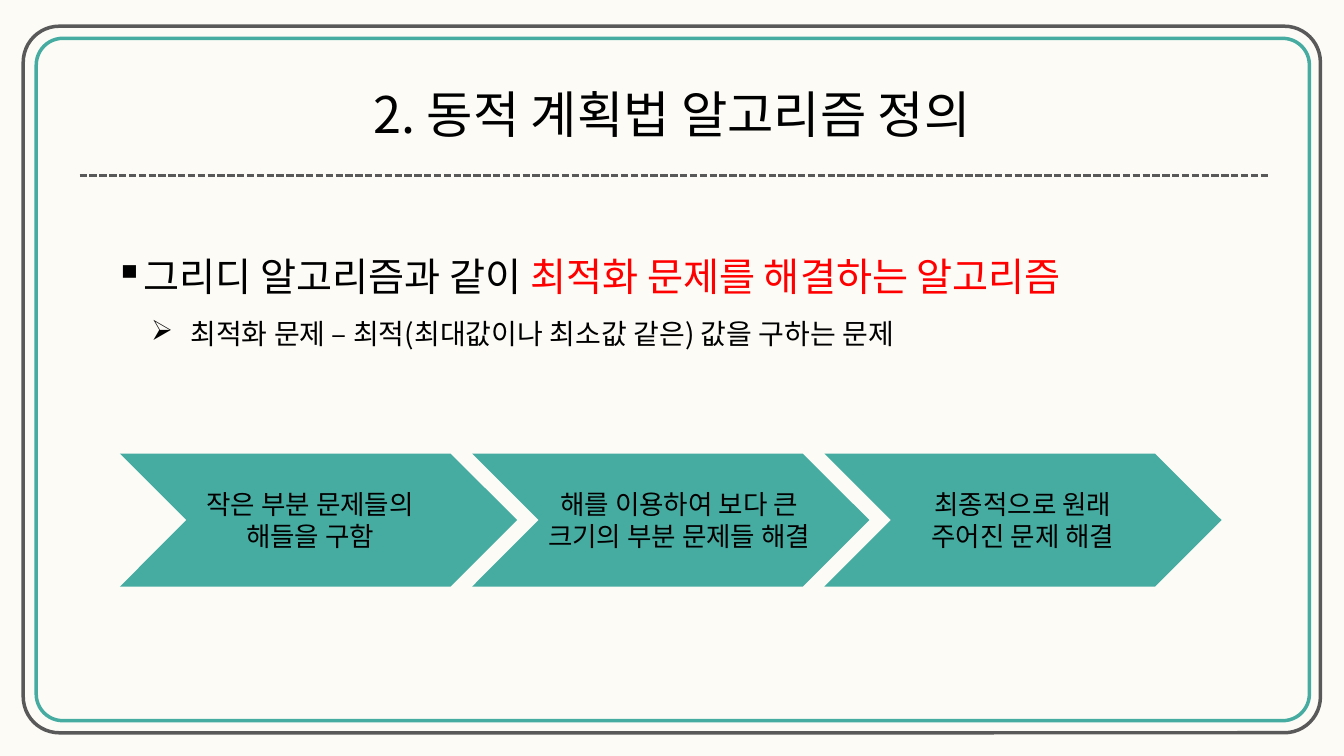
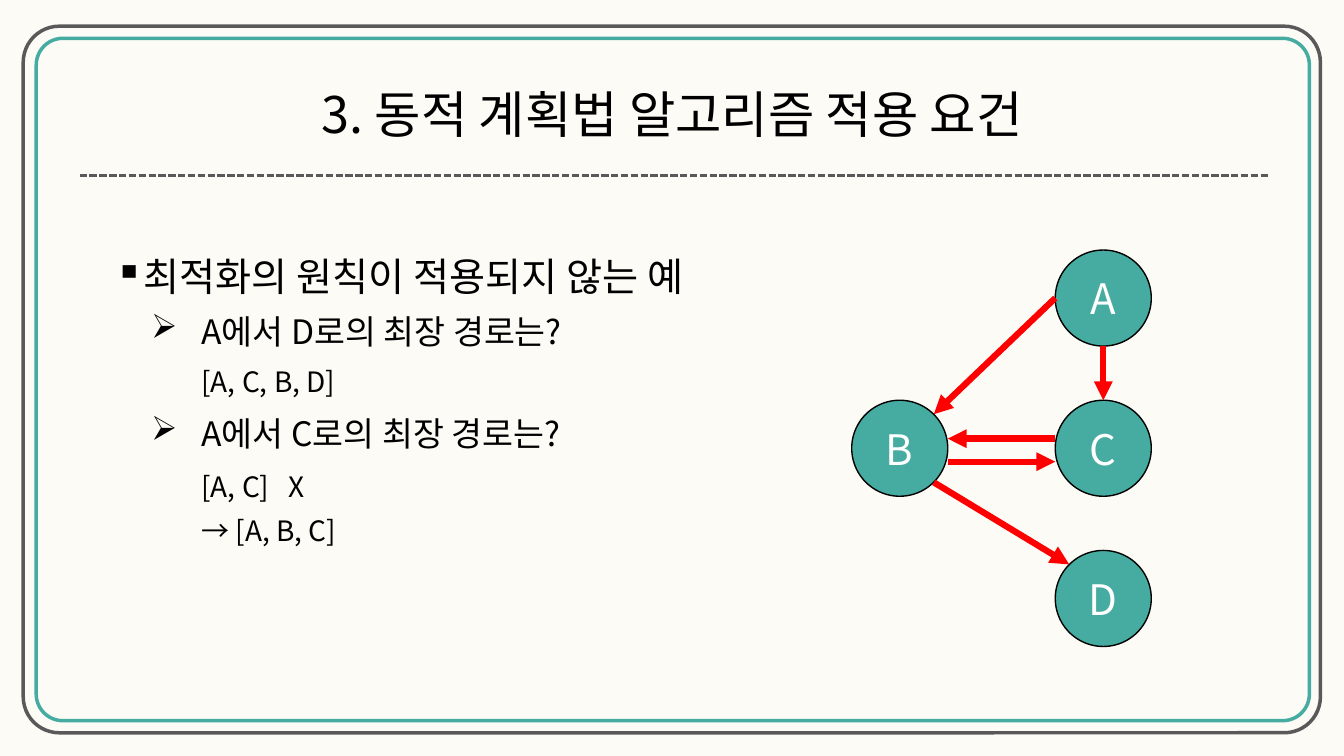
from pptx import Presentation
from pptx.dml.color import RGBColor
from pptx.enum.dml import MSO_LINE as Dash
from pptx.enum.shapes import MSO_CONNECTOR as Conn, MSO_SHAPE as Kind
from pptx.enum.text import MSO_ANCHOR as Anchor, PP_ALIGN as Align
from pptx.oxml.ns import qn
from pptx.util import Pt
from lxml.etree import SubElement

TEAL = RGBColor(0x46, 0xAC, 0xA1)
GRAY = RGBColor(0x59, 0x59, 0x59)
CREAM = RGBColor(0xFC, 0xFB, 0xF6)
BLACK = RGBColor(0, 0, 0)
WHITE = RGBColor(255, 255, 255)
RED = RGBColor(255, 0, 0)
FONT = "Noto Sans CJK KR"

DIAM = 68.6
NODES = {"A": (753.8, 178.6), "B": (608.4, 285.9),
         "C": (753.8, 285.9), "D": (753.8, 393.2)}
# Each end is a node and an offset from its centre, in radii.
LINKS = [("A", (0, 1), "C", (0, -1)),
         ("C", (-1, -0.2), "B", (1, -0.2)),
         ("B", (0.71, 0.71), "D", (-0.71, -0.71)),
         ("A", (-1, 0), "B", (0.71, -0.71)),
         ("B", (1, 0.28), "C", (-1, 0.28))]
STEPS = [("작은 부분 문제들의", "해들을 구함", -6),
         ("해를 이용하여 보다 큰", "크기의 부분 문제들 해결", 6),
         ("최종적으로 원래", "주어진 문제 해결", 0)]


def write(par, text, *, size, color=BLACK, space=None):
    """Add a run; space is extra letter spacing in points."""
    run = par.add_run()
    run.text = text
    font = run.font
    font.size, font.name = Pt(size), FONT
    font.color.rgb = color
    props = font._element
    SubElement(props, qn("a:ea")).set("typeface", FONT)
    if space:
        props.set("spc", str(space * 100))


def item(frame, *runs, size, left, hang=0, mark=None, before=5):
    """Add an indented paragraph; each run is a text with its own format."""
    first = not frame.paragraphs[0].runs
    par = frame.paragraphs[0] if first else frame.add_paragraph()
    par.line_spacing, par.space_before = 1.1, Pt(before)
    props = par._p.get_or_add_pPr()
    props.set("marL", str(Pt(left)))
    props.set("indent", str(Pt(-hang)))
    if mark:
        SubElement(props, qn("a:buChar")).set("char", mark)
    else:
        SubElement(props, qn("a:buNone"))
    for text, style in runs:
        write(par, text, size=size, **style)


def draw(slide, kind, box, *, fill=None, line=None, width=1):
    shape = slide.shapes.add_shape(kind, *map(Pt, box))
    shape.shadow.inherit = False
    if fill is None:
        shape.fill.background()
    else:
        shape.fill.solid()
        shape.fill.fore_color.rgb = fill
    if line is None:
        shape.line.fill.background()
    else:
        shape.line.color.rgb = line
        shape.line.width = Pt(width)
    return shape


def label(shape, *rows, size, color=BLACK, shift=0):
    """Centre rows of text in a shape, moved sideways by shift."""
    frame = shape.text_frame
    frame.word_wrap = False
    frame.vertical_anchor = Anchor.MIDDLE
    frame.margin_top = frame.margin_bottom = 0
    frame.margin_left = Pt(max(2 * shift, 0))
    frame.margin_right = Pt(max(-2 * shift, 0))
    for i, row in enumerate(rows):
        par = frame.add_paragraph() if i else frame.paragraphs[0]
        par.alignment = Align.CENTER
        write(par, row, size=size, color=color)


def rule(slide, start, end, *, color, width):
    line = slide.shapes.add_connector(Conn.STRAIGHT, *map(Pt, start + end))
    line.line.color.rgb = color
    line.line.width = Pt(width)
    SubElement(line._element.spPr, qn("a:effectLst"))
    return line


def arrow(slide, start, end):
    line = rule(slide, start, end, color=RED, width=4.5)
    SubElement(line.line._get_or_add_ln(), qn("a:tailEnd")).set("type", "triangle")


def spot(name, shift):
    """Return a point at an offset, in radii, from a node's centre."""
    return tuple(p + DIAM / 2 * (1 + s) for p, s in zip(NODES[name], shift))


def base(prs, text):
    """Add a slide with its frames, title and dashed rule."""
    slide = prs.slides.add_slide(prs.slide_layouts[5])
    for box, bend, color in [((25.9, 27.4, 909.4, 487.4), 0.039, TEAL),
                             ((16.6, 18.7, 926.6, 504.7), 0.051, GRAY)]:
        frame = draw(slide, Kind.ROUNDED_RECTANGLE, box, line=color, width=2.5)
        frame.adjustments[0] = bend
    title = slide.shapes.title
    title.left, title.top, title.width, title.height = map(Pt, (60, 55.4, 840, 51))
    label(title, text, size=36)
    dash = rule(slide, (56.9, 125.3), (907.2, 125.3), color=GRAY, width=1.75)
    dash.line.dash_style = Dash.SQUARE_DOT
    return slide


def body(slide, width):
    box = slide.shapes.add_textbox(*map(Pt, (74.9, 173.5, width, 272)))
    box.text_frame.word_wrap = True
    return box.text_frame


def define(prs):
    slide = base(prs, "2. 동적 계획법 알고리즘 정의")
    frame = body(slide, 810)
    item(frame, ("그리디 알고리즘과 같이 ", {}),
         ("최적화 문제를 해결하는 알고리즘", {"color": RED}),
         size=28, left=18, hang=18, mark="▪", before=10)
    item(frame, ("최적화 문제 – 최적(최대값이나 최소값 같은) 값을 구하는 문제", {}),
         size=20, left=54, hang=28, mark="➢", before=10)
    for i, (top, low, shift) in enumerate(STEPS):
        step = draw(slide, Kind.CHEVRON, (85.7 + 251.6 * i, 324, 283.7, 95), fill=TEAL)
        label(step, top, low, size=19, shift=shift)


def apply(prs):
    slide = base(prs, "3. 동적 계획법 알고리즘 적용 요건")
    frame = body(slide, 520)
    ask = {"size": 24, "left": 62, "hang": 36, "mark": "➢"}
    reply = {"size": 20, "left": 62}
    item(frame, ("최적화의 원칙이 적용되지 않는 예", {}),
         size=28, left=18, hang=18, mark="▪", before=10)
    item(frame, ("A에서 D로의 최장 경로는?", {}), **ask)
    item(frame, ("[A, C, B, D]", {}), before=7, **reply)
    item(frame, ("A에서 C로의 최장 경로는?", {}), before=8, **ask)
    item(frame, ("[A, C]", {}), (" ", {"space": 9}), ("X", {}), before=9, **reply)
    item(frame, ("→ [A, B, C]", {}), **reply)
    for name, place in NODES.items():
        node = draw(slide, Kind.OVAL, place + (DIAM, DIAM), fill=TEAL, line=BLACK)
        label(node, name, size=30, color=WHITE)
    for tail, out, head, into in LINKS:
        arrow(slide, spot(tail, out), spot(head, into))


def main():
    prs = Presentation()
    prs.slide_width, prs.slide_height = Pt(960), Pt(540)
    back = prs.slide_master.background.fill
    back.solid()
    back.fore_color.rgb = CREAM
    define(prs)
    apply(prs)
    prs.save("out.pptx")


if __name__ == "__main__":
    main()
